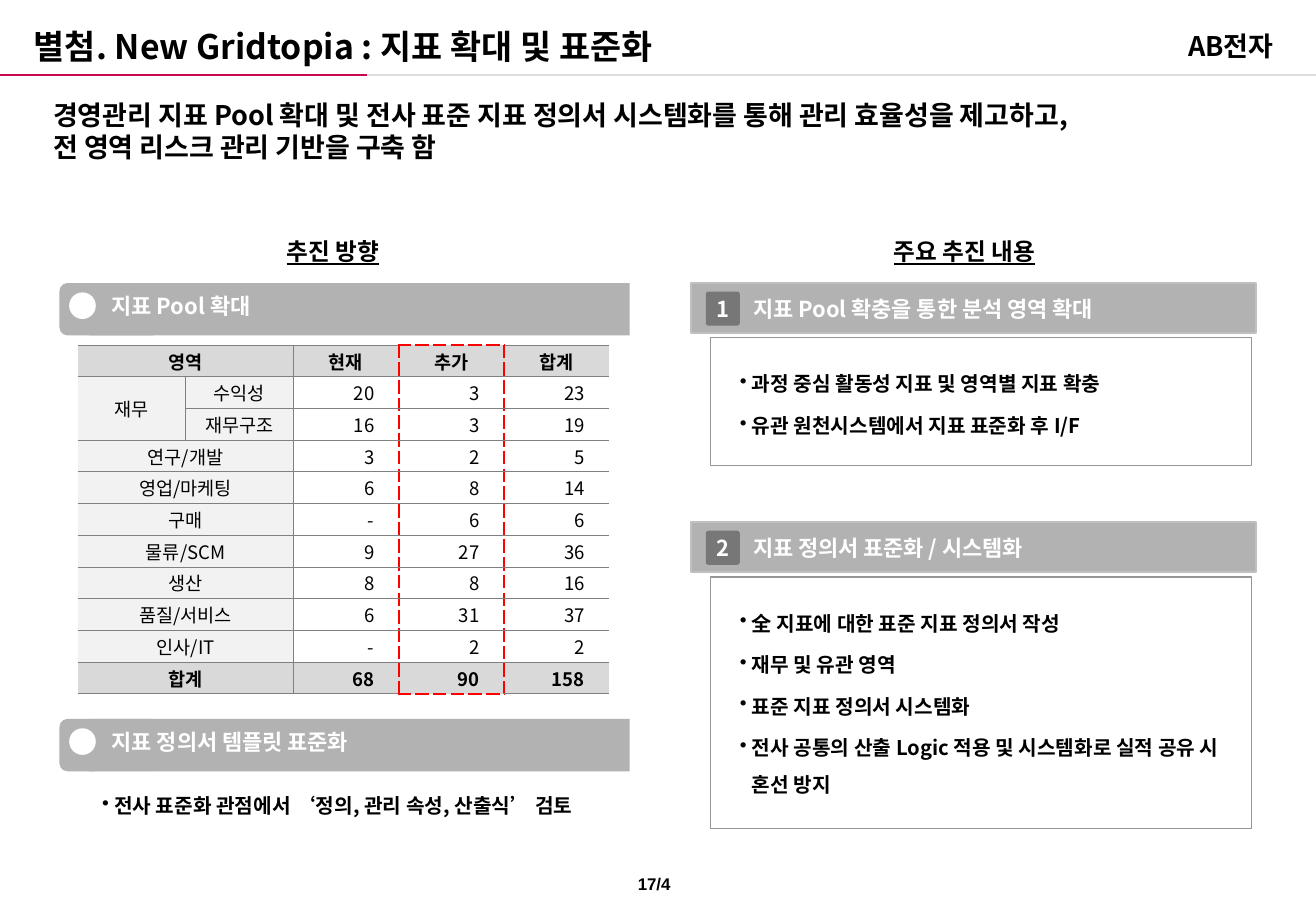
from lxml import etree
from pptx import Presentation
from pptx.dml.color import RGBColor
from pptx.enum import shapes, text
from pptx.oxml import ns
from pptx.util import Pt

COLORS = {
    "black": "000000", "white": "FFFFFF", "accent": "C70952", "rule": "DDDDDD",
    "bar": "B2B2B2", "bar_edge": "C0C0C0", "badge": "777777", "frame": "969696",
    "grid": "808080", "added": "FF0000", "total": "D9D9D9", "area": "F2F2F2",
}
RGB = {name: RGBColor.from_string(value) for name, value in COLORS.items()}
KR = "Noto Sans CJK KR"
LEFT, CENTER, RIGHT = text.PP_ALIGN.LEFT, text.PP_ALIGN.CENTER, text.PP_ALIGN.RIGHT
TOP, MIDDLE = text.MSO_ANCHOR.TOP, text.MSO_ANCHOR.MIDDLE
RECT, ROUND, OVAL = (shapes.MSO_SHAPE.RECTANGLE, shapes.MSO_SHAPE.ROUNDED_RECTANGLE,
                     shapes.MSO_SHAPE.OVAL)
NO_INSET = (0, 0, 0, 0)
BULLET_INSET = (5.76, 5.76, 5.76, 5.76)

prs = Presentation()
prs.slide_width, prs.slide_height = Pt(780), Pt(540)
s = prs.slides.add_slide(prs.slide_layouts[6])


def write(holder, lines, size, color="black", align=LEFT, anchor=MIDDLE, inset=NO_INSET,
          font=KR, spacing=None, bullet=False, **font_format):
    """Fill a text frame or a table cell."""
    tf = getattr(holder, "text_frame", holder)
    holder.vertical_anchor = anchor
    for side, gap in zip(("left", "top", "right", "bottom"), inset):
        setattr(holder, "margin_" + side, Pt(gap))
    for i, line in enumerate(lines):
        p = tf.paragraphs[0] if i == 0 else tf.add_paragraph()
        p.alignment = align
        if spacing:
            p.line_spacing = spacing
        if bullet:
            p.space_before = Pt(3)
            pPr = p._p.get_or_add_pPr()
            pPr.set("marL", str(Pt(7.2)))
            pPr.set("indent", str(-Pt(7.2)))
            etree.SubElement(pPr, ns.qn("a:buChar"), char="•")
        r = p.add_run()
        r.text = line
        for name, value in {"name": font, "size": Pt(size), "bold": True, **font_format}.items():
            setattr(r.font, name, value)
        r.font.color.rgb = RGB[color]
        etree.SubElement(r._r.get_or_add_rPr(), ns.qn("a:ea"), typeface=font)


def box(x, y, w, h, kind=None, fill=None, line=None, weight=1, corner=None):
    """Add a preset shape, or a text box when no kind is given; return its text frame."""
    place = [Pt(v) for v in (x, y, w, h)]
    if kind is None:
        sp = s.shapes.add_textbox(*place)
    else:
        sp = s.shapes.add_shape(kind, *place)
        sp.shadow.inherit = False
        if corner is not None:
            sp.adjustments[0] = corner
        if fill:
            sp.fill.solid()
            sp.fill.fore_color.rgb = RGB[fill]
        else:
            sp.fill.background()
        if line:
            sp.line.color.rgb = RGB[line]
            sp.line.width = Pt(weight)
        else:
            sp.line.fill.background()
    sp.text_frame.word_wrap = True
    return sp.text_frame


# Header rule
for start, end, color in ((0, 217.6, "accent"), (217.6, 780, "rule")):
    rule = s.shapes.add_connector(shapes.MSO_CONNECTOR.STRAIGHT,
                                  Pt(start), Pt(44.6), Pt(end), Pt(44.6))
    rule.line.color.rgb = RGB[color]
    rule.line.width = Pt(1.5)
    etree.SubElement(rule._element.spPr, ns.qn("a:effectLst"))

# Title, company, headline and page number
DEFAULT_INSET = (7.2, 3.6, 7.2, 3.6)
write(box(13, 10.1, 606, 33.8), ["별첨. New Gridtopia : 지표 확대 및 표준화"], 20,
      inset=DEFAULT_INSET)
write(box(547.2, 10.1, 214.6, 33.8), ["AB전자"], 16, align=RIGHT, anchor=TOP,
      inset=DEFAULT_INSET, spacing=1.2)
write(box(24.5, 54.7, 728.6, 56.9),
      ["경영관리 지표 Pool 확대 및 전사 표준 지표 정의서 시스템화를 통해 관리 효율성을 제고하고,",
       "전 영역 리스크 관리 기반을 구축 함"], 16, anchor=TOP, inset=DEFAULT_INSET)
write(box(364.3, 514.1, 46.8, 19.4), ["17/4"], 10, align=CENTER, anchor=TOP,
      inset=DEFAULT_INSET, font="Arial")

# Column headings
for x, heading in ((88.6, "추진 방향"), (463, "주요 추진 내용")):
    write(box(x, 136.8, 217.4, 23.8), [heading], 14, align=CENTER, underline=True)

# Left sections: bar with a rounded left end and a dot
for y, label in ((167.8, "지표 Pool 확대"), (426.2, "지표 정의서 템플릿 표준화")):
    box(52.8, y, 320.4, 31, ROUND, "bar", corner=0)
    box(35.3, y, 59.8, 31, ROUND, "bar", corner=0.15)
    write(box(66.2, y + 5.5, 294.5, 15.8), [label], 13, "white")
    box(41, y + 5.5, 15.8, 15.8, OVAL, "white")
write(box(54.7, 457.2, 303.8, 33.8), ["전사 표준화 관점에서 ‘정의, 관리 속성, 산출식’ 검토"],
      12, anchor=TOP, inset=BULLET_INSET, spacing=1.5, bullet=True)

# Right sections: numbered bar above a framed list
sections = [
    (167.8, 75.6, 226, "지표 Pool 확충을 통한 분석 영역 확대",
     ["과정 중심 활동성 지표 및 영역별 지표 확충", "유관 원천시스템에서 지표 표준화 후 I/F"]),
    (309.6, 149, 182.2, "지표 정의서 표준화 / 시스템화",
     ["全 지표에 대한 표준 지표 정의서 작성", "재무 및 유관 영역", "표준 지표 정의서 시스템화",
      "전사 공통의 산출 Logic 적용 및 시스템화로 실적 공유 시 혼선 방지"]),
]
for number, (y, frame_h, label_w, label, items) in enumerate(sections, 1):
    box(421.2, y + 32.4, 320.4, frame_h, RECT, line="frame", weight=0.75)
    box(409.7, y, 334.8, 29.5, ROUND, "bar", "bar_edge", corner=0)
    write(box(446.4, y + 7.2, label_w, 15.8), [label], 13, "white")
    write(box(418.3, y + 5, 20.2, 20.2, ROUND, "badge", corner=0.08), [str(number)], 13,
          "white", CENTER)
    write(box(432.7, y + 39.6, 303.8, frame_h - 20), items, 12, anchor=TOP,
          inset=BULLET_INSET, spacing=1.5, bullet=True)

# Indicator table
rows = [
    ("영역", "", "현재", "추가", "합계"),
    ("재무", "수익성", "20", "3", "23"),
    ("", "재무구조", "16", "3", "19"),
    ("연구/개발", "", "3", "2", "5"),
    ("영업/마케팅", "", "6", "8", "14"),
    ("구매", "", "-", "6", "6"),
    ("물류/SCM", "", "9", "27", "36"),
    ("생산", "", "8", "8", "16"),
    ("품질/서비스", "", "6", "31", "37"),
    ("인사/IT", "", "-", "2", "2"),
    ("합계", "", "68", "90", "158"),
]
LAST, ADDED, SPLIT_ROWS = len(rows) - 1, 3, (1, 2)
frame = s.shapes.add_table(len(rows), 5, Pt(46.1), Pt(204.5), Pt(314.8), Pt(206.8))
table = frame.table
table.first_row = table.horz_banding = False
for c, width in enumerate((63.9, 63.9, 62.4, 62.4, 62.4)):
    table.columns[c].width = Pt(width)
for row in table.rows:
    row.height = Pt(18.8)

for r, values in enumerate(rows):
    emphasis = r in (0, LAST)
    for c, value in enumerate(values):
        cell = table.cell(r, c)
        # Vertical edges c and c + 1: none outside or inside a merged area, dashed around 추가
        edges = []
        for edge in (c, c + 1):
            hidden = edge in (0, 5) or (edge == 1 and r not in SPLIT_ROWS)
            edges.append(None if hidden else "added" if edge in (ADDED, ADDED + 1) else "grid")
        edges.append("added" if c == ADDED and r == 0 else "grid")
        edges.append("added" if c == ADDED and r == LAST else "grid")
        tcPr = cell._tc.get_or_add_tcPr()
        for tag, color in zip(("a:lnL", "a:lnR", "a:lnT", "a:lnB"), edges):
            ln = etree.SubElement(tcPr, ns.qn(tag), w=str(Pt(1.5 if color == "added" else 0.5)))
            if color is None:
                etree.SubElement(ln, ns.qn("a:noFill"))
                continue
            solid = etree.SubElement(ln, ns.qn("a:solidFill"))
            etree.SubElement(solid, ns.qn("a:srgbClr"), val=COLORS[color])
            etree.SubElement(ln, ns.qn("a:prstDash"),
                             val="sysDash" if color == "added" else "solid")
        if emphasis or c < 2:
            cell.fill.solid()
            cell.fill.fore_color.rgb = RGB["total" if emphasis else "area"]
        else:
            cell.fill.background()
        if value:
            numeric = r > 0 and c > 1
            write(cell, [value], 11, align=RIGHT if numeric else CENTER,
                  inset=(0, 0, 14.4, 0) if numeric else NO_INSET, bold=emphasis)
    if r not in SPLIT_ROWS:
        table.cell(r, 0).merge(table.cell(r, 1))
table.cell(1, 0).merge(table.cell(2, 0))

prs.save("out.pptx")
